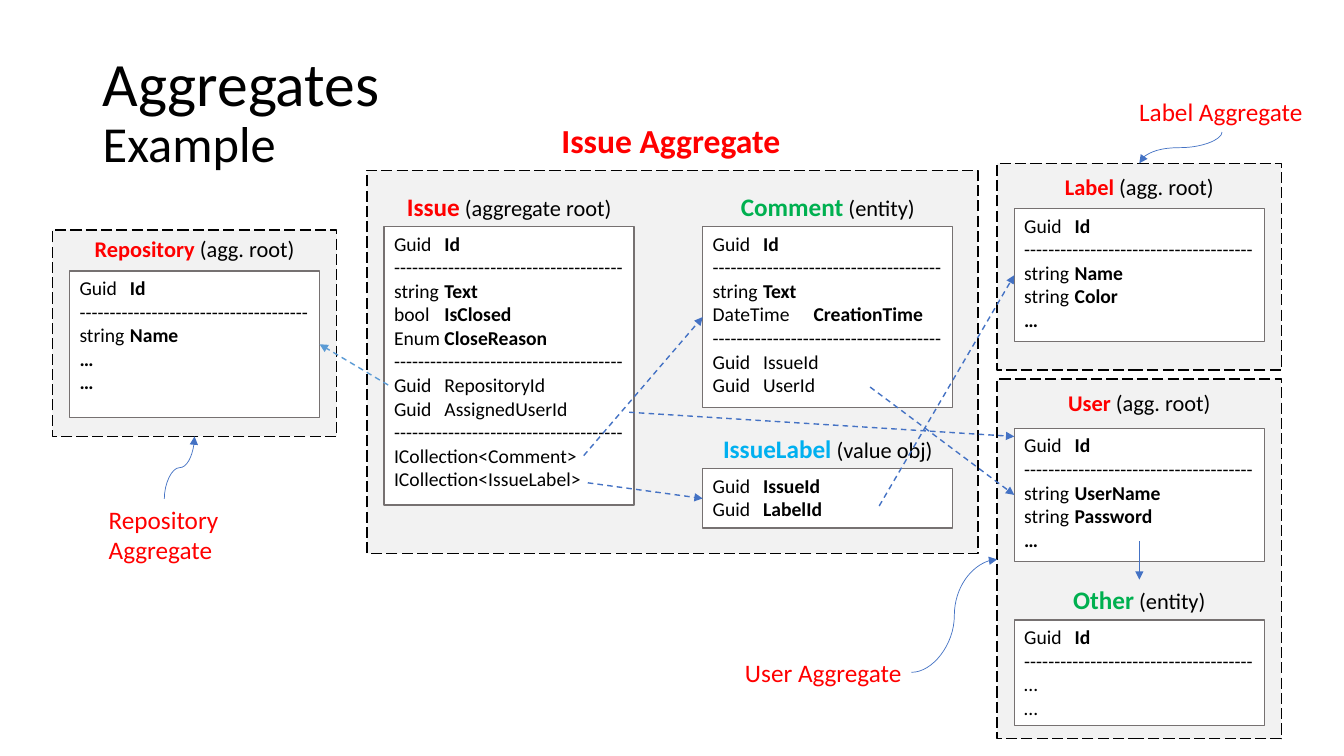
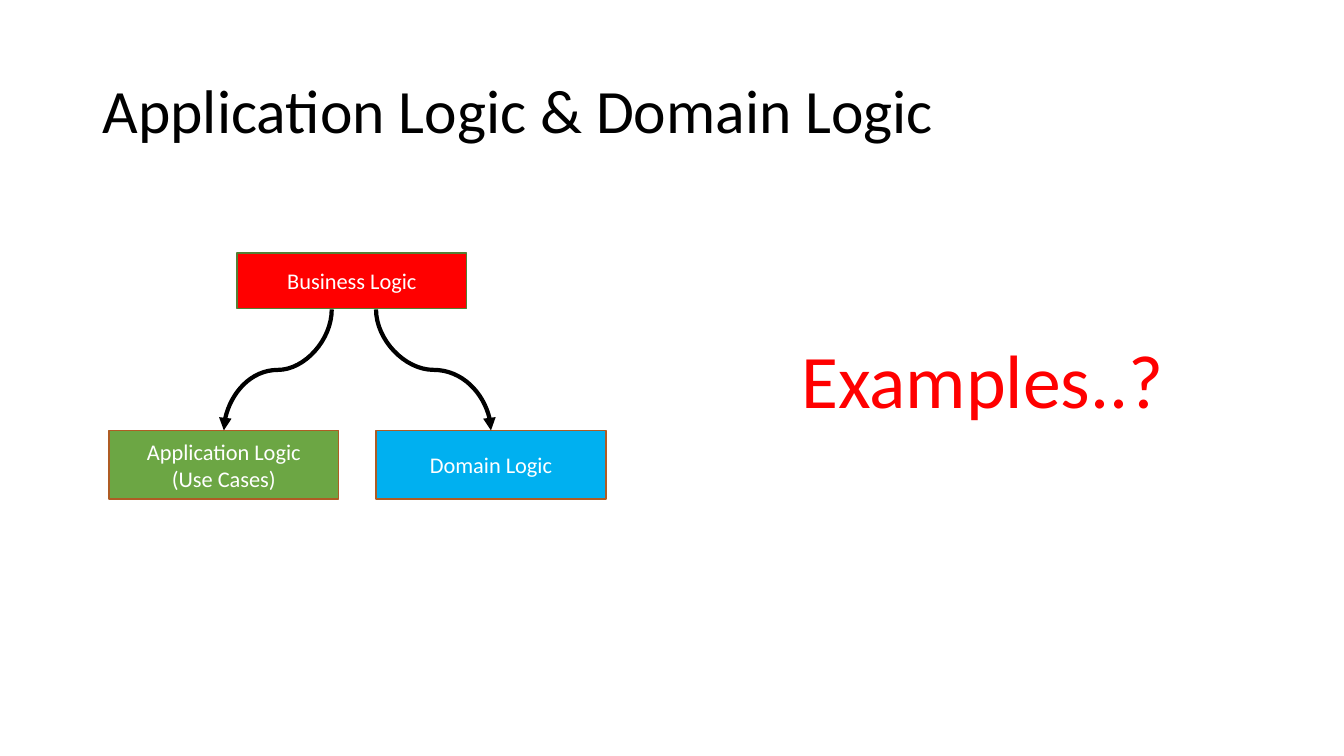
from pptx import Presentation
from pptx.dml.color import RGBColor
from pptx.enum.dml import MSO_LINE
from pptx.enum.shapes import MSO_CONNECTOR, MSO_SHAPE
from pptx.enum.text import MSO_ANCHOR, PP_ALIGN
from pptx.oxml.ns import qn
from pptx.util import Inches, Pt
from lxml.etree import SubElement

FONT = "Calibri"
BLACK = RGBColor(0x00, 0x00, 0x00)
WHITE = RGBColor(0xFF, 0xFF, 0xFF)
PANEL = RGBColor(0xF2, 0xF2, 0xF2)
GRAY = RGBColor(0x76, 0x71, 0x71)
RED = RGBColor(0xFF, 0x00, 0x00)
GREEN = RGBColor(0x00, 0xB0, 0x50)
SKY = RGBColor(0x00, 0xB0, 0xF0)
BLUE = RGBColor(0x44, 0x72, 0xC4)
LIGHT_BLUE = RGBColor(0x5B, 0x9B, 0xD5)
LEAF = RGBColor(0x6C, 0xA6, 0x44)
DARK_GREEN = RGBColor(0x53, 0x80, 0x35)
RUST = RGBColor(0xAF, 0x5C, 0x24)

TITLE_AT = (0.92, 0.4, 11.5, 1.45)
AGGREGATES_TITLE = [("Aggregates", 44), ("Example", 36)]
LOGIC_TITLE = [("Application Logic & Domain Logic", 44)]

AGGREGATE_PANELS = [
    (9.89, 1.62, 2.82, 2.05),
    (9.89, 3.76, 2.82, 3.57),
    (0.52, 2.28, 2.82, 2.05),
    (3.64, 1.69, 6.06, 3.8),
]

ENTITY_WIDTH = 2.48
RULE = "-" * 38
ID = ("Guid", "Id")
MORE = ("…",)
# A tuple ends in a bold cell; a plain string has none.
ENTITIES = {
    "Issue": dict(
        role="(aggregate root)", color=RED, size=18, left=3.81, top=2.25, height=2.76, caption_top=1.85,
        rows=[ID, RULE, ("string", "Text"), ("bool", "IsClosed"), ("Enum", "CloseReason"), RULE,
              "Guid\tRepositoryId", "Guid\tAssignedUserId", RULE,
              "ICollection<Comment>", "ICollection<IssueLabel>"]),
    "IssueLabel": dict(
        role="(value obj)", color=SKY, size=18, left=6.97, top=4.65, height=0.59, caption_top=4.25,
        rows=[("Guid", "IssueId"), ("Guid", "LabelId")]),
    "Comment": dict(
        role="(entity)", color=GREEN, size=18, left=6.97, top=2.25, height=1.79, caption_top=1.85,
        rows=[ID, RULE, ("string", "Text"), ("DateTime", "CreationTime"), RULE,
              "Guid\tIssueId", "Guid\tUserId"]),
    "Repository": dict(
        role="(agg. root)", color=RED, size=16, left=0.69, top=2.69, height=1.45, caption_top=2.28,
        rows=[ID, RULE, ("string", "Name"), MORE, MORE]),
    "User": dict(
        role="(agg. root)", color=RED, size=16, left=10.06, top=4.25, height=1.32, caption_top=3.81,
        rows=[ID, RULE, ("string", "UserName"), ("string", "Password"), MORE]),
    "Label": dict(
        role="(agg. root)", color=RED, size=16, left=10.06, top=2.07, height=1.32, caption_top=1.67,
        rows=[ID, RULE, ("string", "Name"), ("string", "Color"), MORE]),
    "Other": dict(
        role="(entity)", color=GREEN, size=18, left=10.06, top=6.15, height=1.05, caption_top=5.75,
        rows=[ID, RULE, "…", "…"]),
}

LEFT_SIDE, RIGHT_SIDE = 1, 3
REFERENCES = [
    ((3.85, 3.82), (3.17, 3.41), "Repository", RIGHT_SIDE, LIGHT_BLUE),
    ((6.24, 4.09), (10.06, 4.33), None, None, BLUE),
    ((5.79, 4.52), (6.97, 3.15), "Comment", LEFT_SIDE, BLUE),
    ((5.83, 4.79), (6.97, 4.95), "IssueLabel", LEFT_SIDE, BLUE),
    ((8.72, 5.02), (10.06, 2.73), "Label", LEFT_SIDE, BLUE),
    ((8.63, 3.84), (10.06, 4.9), "User", LEFT_SIDE, BLUE),
]

AGGREGATE_LABELS = [
    (["Issue Aggregate"], (5.47, 1.14, 2.4, 0.5), 24, True, PP_ALIGN.LEFT, False),
    (["Repository", "Aggregate"], (0.98, 4.95, 1.3, 0.71), 18, False, PP_ALIGN.LEFT, False),
    (["User Aggregate"], (6.93, 6.47, 2.11, 0.4), 18, False, PP_ALIGN.RIGHT, True),
    (["Label Aggregate"], (11.2, 0.91, 1.84, 0.4), 18, False, PP_ALIGN.LEFT, False),
]
LABEL_CURVES = [
    ((1.63, 4.95), (1.93, 4.33), True),
    ((9.04, 6.67), (9.89, 5.55), False),
    ((12.12, 1.31), (11.3, 1.62), True),
]

LOGIC_BOXES = [
    ("Business Logic", (2.35, 2.51, 2.28, 0.55), RED, DARK_GREEN),
    ("Application Logic\v(Use Cases)", (1.08, 4.27, 2.28, 0.68), LEAF, RUST),
    ("Domain Logic", (3.73, 4.27, 2.28, 0.68), SKY, RUST),
]
LOGIC_CURVES = [((3.29, 3.07), (2.22, 4.27)), ((3.73, 3.07), (4.87, 4.27))]


def style(font, size, color=BLACK, bold=None):
    font.name, font.size, font.bold = FONT, Pt(size), bold
    font.color.rgb = color


def add_run(paragraph, text, size, color=BLACK, bold=None):
    run = paragraph.add_run()
    run.text = text
    style(run.font, size, color, bold)


def add_text_box(slide, at, wrap=True):
    frame = slide.shapes.add_textbox(*map(Inches, at)).text_frame
    frame.word_wrap = wrap
    return frame


def add_title(slide, lines):
    frame = add_text_box(slide, TITLE_AT)
    frame.vertical_anchor = MSO_ANCHOR.MIDDLE
    paragraph = frame.paragraphs[0]
    paragraph.line_spacing = 0.9
    for index, (text, size) in enumerate(lines):
        if index:
            paragraph.add_line_break()
        add_run(paragraph, text, size)


def add_box(slide, at, fill, outline, dash=None):
    shape = slide.shapes.add_shape(MSO_SHAPE.RECTANGLE, *map(Inches, at))
    shape.shadow.inherit = False
    shape.fill.solid()
    shape.fill.fore_color.rgb = fill
    shape.line.color.rgb = outline
    shape.line.width = Pt(1)
    if dash:
        shape.line.dash_style = dash
    return shape


def add_paragraphs(frame, count):
    return [frame.paragraphs[0]] + [frame.add_paragraph() for _ in range(count - 1)]


def add_entity(slide, name, entity):
    left, top = entity["left"], entity["top"]
    box = add_box(slide, (left, top, ENTITY_WIDTH, entity["height"]), WHITE, GRAY)
    frame = box.text_frame
    frame.vertical_anchor = MSO_ANCHOR.TOP
    for paragraph, row in zip(add_paragraphs(frame, len(entity["rows"])), entity["rows"]):
        paragraph.alignment = PP_ALIGN.LEFT
        if isinstance(row, str):
            paragraph.text = row
            style(paragraph.font, 14)
            continue
        *types, member = row
        for text in types:
            add_run(paragraph, text + "\t", 14)
        add_run(paragraph, member, 14, bold=True)

    caption_height = 0.4 if entity["size"] == 18 else 0.37
    caption = add_text_box(slide, (left, entity["caption_top"], ENTITY_WIDTH, caption_height))
    paragraph = caption.paragraphs[0]
    paragraph.alignment = PP_ALIGN.CENTER
    add_run(paragraph, name, entity["size"], entity["color"], True)
    add_run(paragraph, " " + entity["role"], 16)
    return box


def add_arrow(slide, kind, start, end, color, width, dash=None):
    connector = slide.shapes.add_connector(kind, *map(Inches, start + end))
    connector.line.color.rgb = color
    connector.line.width = Pt(width)
    if dash:
        connector.line.dash_style = dash
    properties = connector._element.spPr
    SubElement(properties.find(qn("a:ln")), qn("a:tailEnd"), type="triangle")
    SubElement(properties, qn("a:effectLst"))
    return connector


def add_curve(slide, start, end, color, width, vertical=True):
    if vertical:
        middle_x, middle_y = (start[0] + end[0]) / 2, (start[1] + end[1]) / 2
        start, end = [(middle_x + y - middle_y, middle_y - x + middle_x) for x, y in (start, end)]
    connector = add_arrow(slide, MSO_CONNECTOR.CURVE, start, end, color, width)
    if vertical:
        connector._element.spPr.find(qn("a:xfrm")).set("rot", str(90 * 60000))


def build_aggregates(slide):
    for at in AGGREGATE_PANELS:
        add_box(slide, at, PANEL, BLACK, MSO_LINE.LONG_DASH)
    add_title(slide, AGGREGATES_TITLE)
    boxes = {name: add_entity(slide, name, entity) for name, entity in ENTITIES.items()}

    for start, end, target, side, color in REFERENCES:
        arrow = add_arrow(slide, MSO_CONNECTOR.STRAIGHT, start, end, color, 1, MSO_LINE.DASH)
        if target:
            arrow.end_connect(boxes[target], side)
    add_arrow(slide, MSO_CONNECTOR.STRAIGHT, (11.3, 5.37), (11.3, 5.75), BLUE, 0.5)

    for lines, at, size, bold, alignment, wrap in AGGREGATE_LABELS:
        frame = add_text_box(slide, at, wrap)
        for paragraph, text in zip(add_paragraphs(frame, len(lines)), lines):
            paragraph.text = text
            paragraph.alignment = alignment
            style(paragraph.font, size, RED, bold)
    for start, end, vertical in LABEL_CURVES:
        add_curve(slide, start, end, BLUE, 0.5, vertical)


def build_logic(slide):
    add_title(slide, LOGIC_TITLE)
    question = add_text_box(slide, (7.85, 3.36, 4.06, 3.17)).paragraphs[0]
    question.text = "Examples..?"
    question.line_spacing = 0.9
    style(question.font, 54, RED)
    for text, at, fill, outline in LOGIC_BOXES:
        paragraph = add_box(slide, at, fill, outline).text_frame.paragraphs[0]
        paragraph.text = text
        paragraph.alignment = PP_ALIGN.CENTER
        style(paragraph.font, 16, WHITE)
    for start, end in LOGIC_CURVES:
        add_curve(slide, start, end, BLACK, 3)


def main():
    presentation = Presentation()
    presentation.slide_width, presentation.slide_height = Inches(13.33), Inches(7.5)
    for build in (build_aggregates, build_logic):
        build(presentation.slides.add_slide(presentation.slide_layouts[6]))
    presentation.save("out.pptx")


if __name__ == "__main__":
    main()
